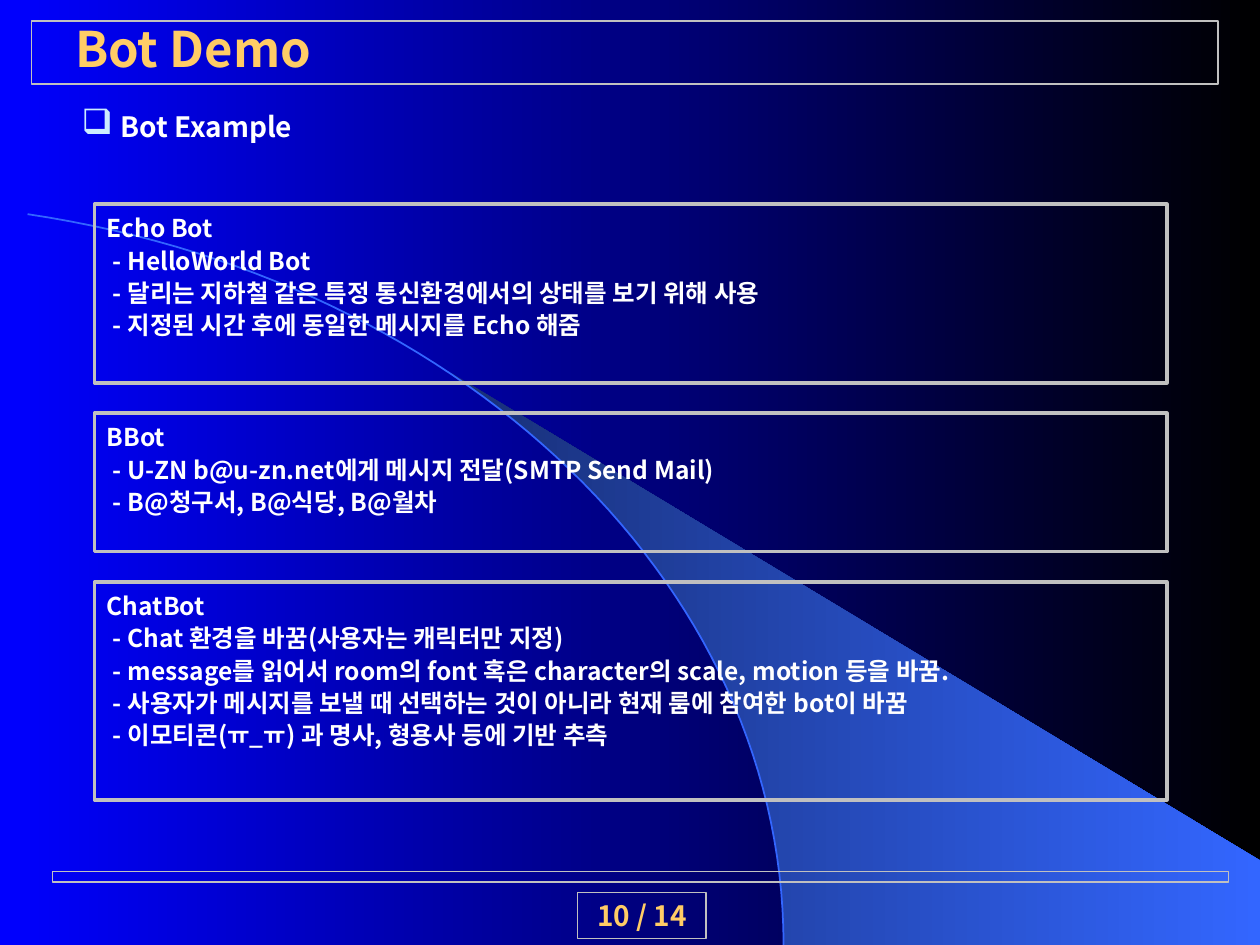
"""Build the Bot Demo slide."""
from lxml import etree
from pptx import Presentation
from pptx.dml.color import RGBColor
from pptx.enum.shapes import MSO_SHAPE
from pptx.enum.text import MSO_ANCHOR, PP_ALIGN
from pptx.oxml.ns import qn
from pptx.util import Pt

RECTANGLE = MSO_SHAPE.RECTANGLE
TOP, BOTTOM = MSO_ANCHOR.TOP, MSO_ANCHOR.BOTTOM
LEFT, CENTER = PP_ALIGN.LEFT, PP_ALIGN.CENTER
WHITE = RGBColor(0xFF, 0xFF, 0xFF)
BLACK = RGBColor(0x00, 0x00, 0x00)
BLUE = RGBColor(0x00, 0x00, 0xFF)
NAVY = RGBColor(0x18, 0x2F, 0x76)
AZURE = RGBColor(0x33, 0x66, 0xFF)
SILVER = RGBColor(0xC0, 0xC0, 0xC0)
GOLD = RGBColor(0xFF, 0xCC, 0x66)
FONT = "Noto Sans CJK KR"

WIDTH, HEIGHT = 720, 540
TITLE = "Bot Demo"
HEADING = "Bot Example"
PAGE = "10 / 14"
PANELS = [
    (102.2, "Echo Bot", [
        "- HelloWorld Bot",
        "- 달리는 지하철 같은 특정 통신환경에서의 상태를 보기 위해 사용",
        "- 지정된 시간 후에 동일한 메시지를 Echo 해줌",
    ]),
    (79.2, "BBot", [
        "- U-ZN b@u-zn.net에게 메시지 전달(SMTP Send Mail)",
        "- B@청구서, B@식당, B@월차",
    ]),
    (124.6, "ChatBot", [
        "- Chat 환경을 바꿈(사용자는 캐릭터만 지정)",
        "- message를 읽어서 room의 font 혹은 character의 scale, motion 등을 바꿈.",
        "- 사용자가 메시지를 보낼 때 선택하는 것이 아니라 현재 룸에 참여한 bot이 바꿈",
        "- 이모티콘(ㅠ_ㅠ) 과 명사, 형용사 등에 기반 추측",
    ]),
]
PANEL_LEFT, PANEL_TOP, PANEL_WIDTH, PANEL_GAP = 54, 116.6, 612.8, 17.3
DETAIL_INDENT = 3.5
ARC = [(15.8, 122.4), (266.4, 159.8), (447.8, 335.5), (447.8, 540)]
ARC_STEPS = 60
WEDGE_TIP = (257.8, 213.1)
WEDGE_RIGHT = (WIDTH, 491.8)


def arc_point(t):
    weights = ((1 - t) ** 3, 3 * t * (1 - t) ** 2, 3 * t * t * (1 - t), t ** 3)
    return tuple(sum(w * point[axis] for w, point in zip(weights, ARC)) for axis in (0, 1))


def set_gradient(fill, start, end):
    fill.gradient()
    fill.gradient_angle = 0
    for stop, color in zip(fill.gradient_stops, (start, end)):
        stop.color.rgb = color


def add_outline(slide, points, close):
    corners = [(Pt(x), Pt(y)) for x, y in points]
    builder = slide.shapes.build_freeform(*corners[0])
    builder.add_line_segments(corners[1:], close=close)
    shape = builder.convert_to_shape()
    shape.shadow.inherit = False
    return shape


def add_frame(slide, left, top, width, height, weight=0.75):
    shape = slide.shapes.add_shape(RECTANGLE, Pt(left), Pt(top), Pt(width), Pt(height))
    shape.shadow.inherit = False
    shape.fill.background()
    shape.line.color.rgb = SILVER
    shape.line.width = Pt(weight)
    return shape


def add_bullet(paragraph, character, color, indent):
    properties = paragraph._p.get_or_add_pPr()
    properties.set("marL", str(Pt(indent)))
    properties.set("indent", str(-Pt(indent)))
    bullet_color = etree.SubElement(properties, qn("a:buClr"))
    etree.SubElement(bullet_color, qn("a:srgbClr")).set("val", str(color))
    etree.SubElement(properties, qn("a:buSzPct")).set("val", "125000")
    etree.SubElement(properties, qn("a:buChar")).set("char", character)


def write(paragraph, text, size=14, color=WHITE, align=LEFT, spacing=None, indent=0):
    paragraph.alignment = align
    if spacing:
        paragraph.line_spacing = spacing
    if indent:
        paragraph._p.get_or_add_pPr().set("marL", str(Pt(indent)))
    run = paragraph.add_run()
    run.text = text
    run.font.size = Pt(size)
    run.font.bold = True
    run.font.color.rgb = color
    run.font.name = FONT
    etree.SubElement(run.font._element, qn("a:ea")).set("typeface", FONT)


def prepare_text(shape, anchor=TOP, wrap=True):
    frame = shape.text_frame
    frame.word_wrap = wrap
    frame.vertical_anchor = anchor
    return frame


def add_text_box(slide, left, top, width, height, anchor=TOP, wrap=True):
    box = slide.shapes.add_textbox(Pt(left), Pt(top), Pt(width), Pt(height))
    return prepare_text(box, anchor, wrap)


def add_backdrop(slide):
    set_gradient(slide.background.fill, BLUE, BLACK)
    arc = [arc_point(step / ARC_STEPS) for step in range(ARC_STEPS + 1)]
    edge = [point for point in arc if point[0] > WEDGE_TIP[0]]
    wedge = add_outline(slide, [WEDGE_TIP, *edge, (WIDTH, HEIGHT), WEDGE_RIGHT], True)
    set_gradient(wedge.fill, NAVY, AZURE)
    wedge.line.fill.background()
    curve = add_outline(slide, arc, False)
    curve.fill.background()
    curve.line.color.rgb = AZURE
    curve.line.width = Pt(1)


def add_panels(slide):
    top = PANEL_TOP
    for height, name, details in PANELS:
        panel = add_frame(slide, PANEL_LEFT, top, PANEL_WIDTH, height, weight=2)
        frame = prepare_text(panel)
        write(frame.paragraphs[0], name, spacing=1.1)
        for detail in details:
            write(frame.add_paragraph(), detail, spacing=1.1, indent=DETAIL_INDENT)
        top += height + PANEL_GAP


def main():
    presentation = Presentation()
    presentation.slide_width, presentation.slide_height = Pt(WIDTH), Pt(HEIGHT)
    slide = presentation.slides.add_slide(presentation.slide_layouts[6])
    add_backdrop(slide)

    title = add_text_box(slide, 36, 12, 276, 36, anchor=BOTTOM)
    write(title.paragraphs[0], TITLE, size=28, color=GOLD)
    add_frame(slide, 18, 12, 678, 36)
    add_frame(slide, 30, 498, 672, 6)
    page = prepare_text(add_frame(slide, 330, 510, 73.5, 26.5))
    write(page.paragraphs[0], PAGE, size=16, color=GOLD, align=CENTER)

    heading = add_text_box(slide, 39.6, 54, 137.5, 31, wrap=False).paragraphs[0]
    add_bullet(heading, "❑", RGBColor(0xCC, 0xEC, 0xFF), 22.3)
    write(heading, HEADING, size=16, spacing=Pt(24))
    add_panels(slide)
    presentation.save("out.pptx")


if __name__ == "__main__":
    main()
